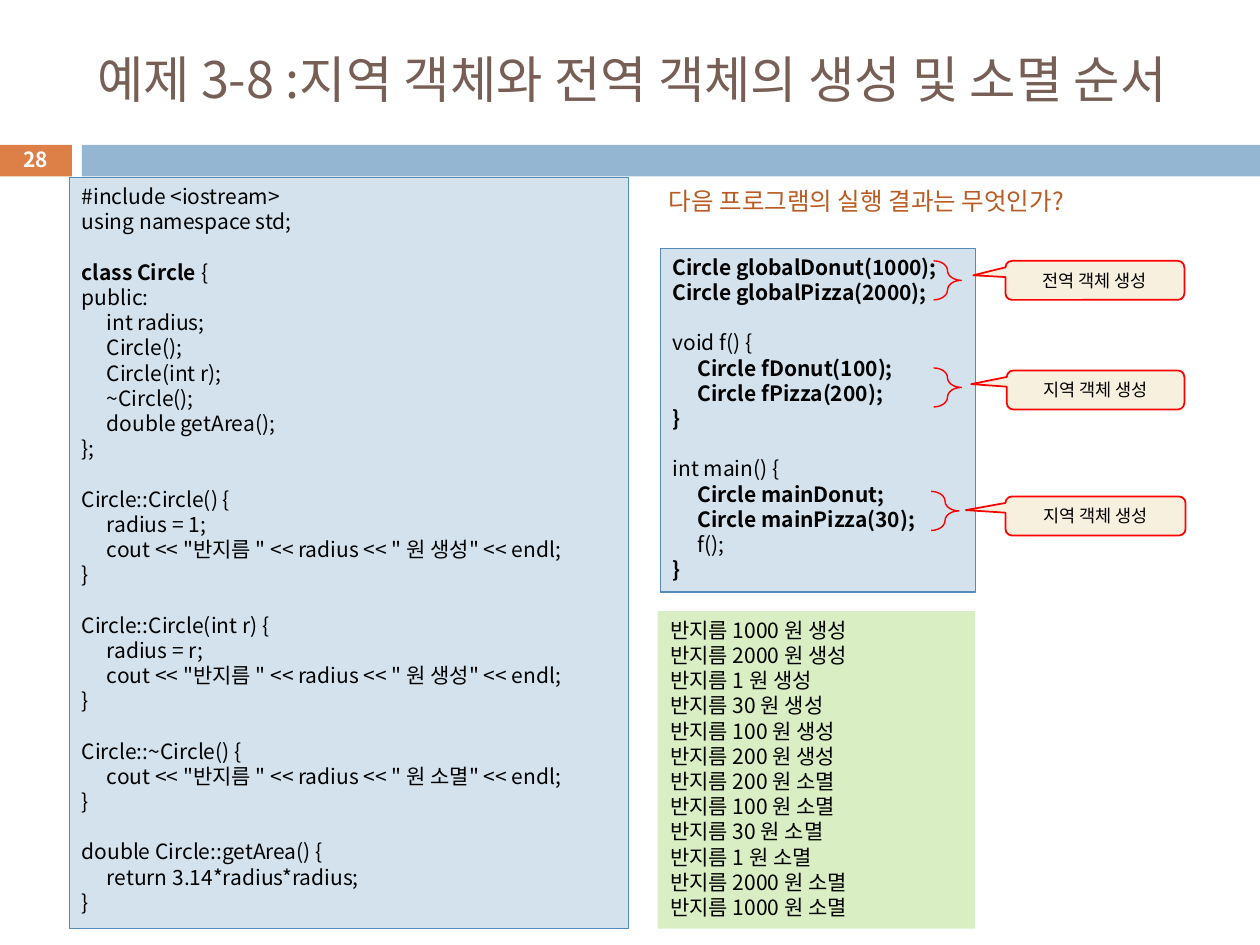
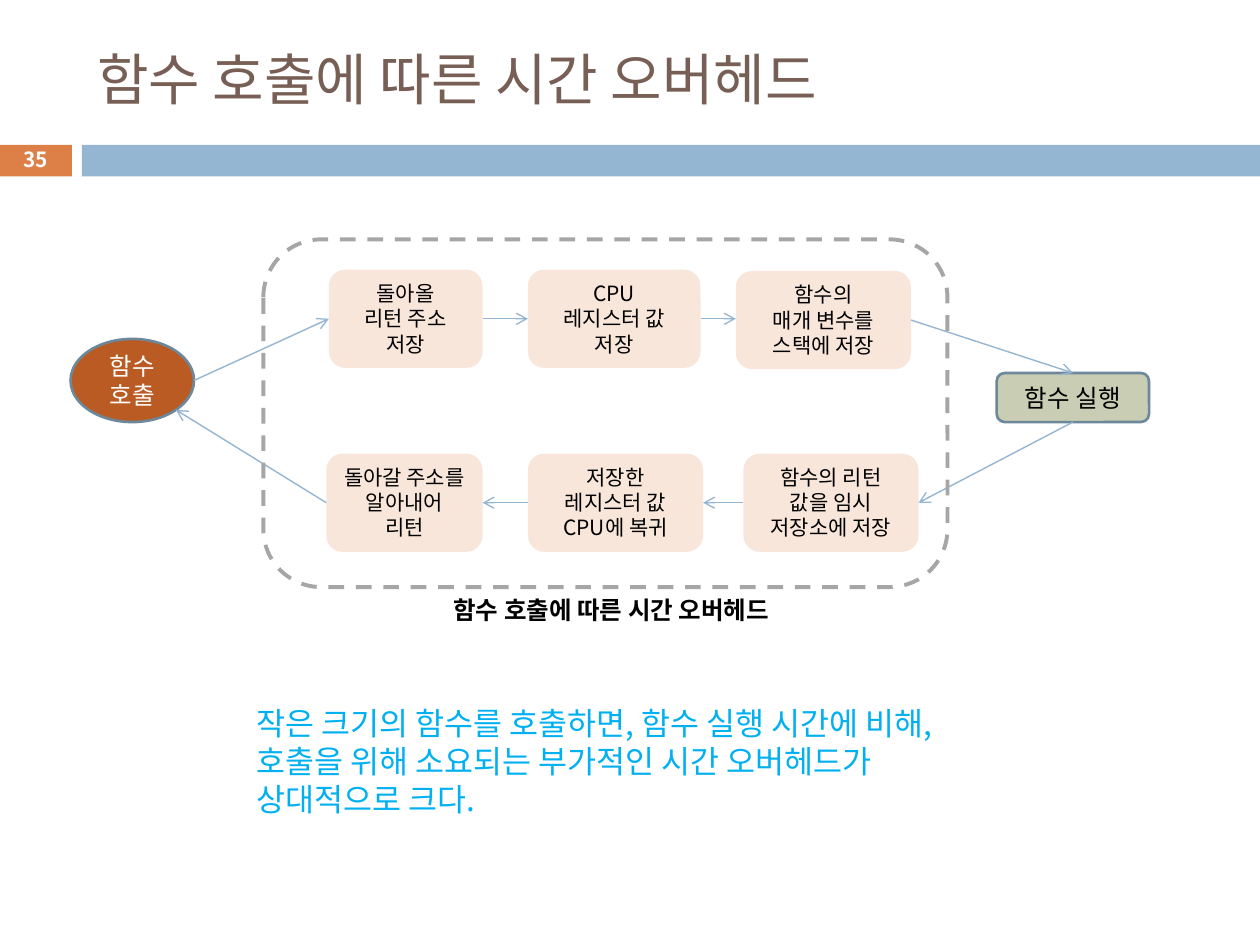
import collections
import math

import lxml.etree
import pptx
import pptx.dml.color
import pptx.enum.dml
import pptx.enum.shapes
import pptx.enum.text
import pptx.oxml.ns
import pptx.util

Inches = pptx.util.Inches
RGBColor = pptx.dml.color.RGBColor
Shape = pptx.enum.shapes.MSO_SHAPE
Align = pptx.enum.text.PP_ALIGN
Anchor = pptx.enum.text.MSO_ANCHOR
qn = pptx.oxml.ns.qn

FONT = "Noto Sans CJK KR"
BLACK = RGBColor(0x00, 0x00, 0x00)
WHITE = RGBColor(0xFF, 0xFF, 0xFF)
TITLE_BROWN = RGBColor(0x77, 0x5F, 0x55)
BAND_ORANGE = RGBColor(0xDD, 0x80, 0x47)
BAND_BLUE = RGBColor(0x94, 0xB6, 0xD2)
CODE_FILL = RGBColor(0xD4, 0xE2, 0xED)
CODE_LINE = RGBColor(0x55, 0x8B, 0xB8)
OUTPUT_FILL = RGBColor(0xDA, 0xEE, 0xC4)
CALLOUT_FILL = RGBColor(0xF7, 0xF0, 0xDE)
RED = RGBColor(0xFF, 0x00, 0x00)
RUST = RGBColor(0xB9, 0x5B, 0x22)
STEP_FILL = RGBColor(0xF8, 0xE6, 0xDA)
RUN_FILL = RGBColor(0xC9, 0xCD, 0xB3)
NODE_LINE = RGBColor(0x6D, 0x87, 0x9B)
FRAME_GRAY = RGBColor(0xA6, 0xA6, 0xA6)
SKY = RGBColor(0x00, 0xB0, 0xF0)

CLASS_CODE = """#include <iostream>
using namespace std;

**class Circle **{
public:
\tint radius;
\tCircle();
\tCircle(int r);
\t~Circle();
\tdouble getArea();
};

Circle::Circle() {
\tradius = 1;
\tcout << "반지름 " << radius << " 원 생성" << endl;
}

Circle::Circle(int r) {
\tradius = r;
\tcout << "반지름 " << radius << " 원 생성" << endl;
}

Circle::~Circle() {
\tcout << "반지름 " << radius << " 원 소멸" << endl;
}

double Circle::getArea() {
\treturn 3.14*radius*radius;
}"""

MAIN_CODE = """**Circle globalDonut(1000);**
**Circle globalPizza(2000);**

void f() {
**\tCircle fDonut(100);**
**\tCircle fPizza(200);**
**}**

int main() {
**\tCircle mainDonut;**
**\tCircle mainPizza(30);**
\tf();
**}**"""

CREATED_RADII = (1000, 2000, 1, 30, 100, 200)


class Box(collections.namedtuple("Box", "left top width height")):
    def inner(self, left, top, width, height):
        return Box(self.left + left, self.top + top, width, height)

    def point(self, across, down):
        return self.left + across * self.width, self.top + down * self.height

    def lengths(self):
        return [Inches(value) for value in self]


def style_span(span, size, color, bold=False):
    span.font.size = pptx.util.Pt(size)
    span.font.color.rgb = color
    span.font.bold = bold
    span.font.name = FONT
    east_asian = lxml.etree.SubElement(span.font._element, qn("a:ea"))
    east_asian.set("typeface", FONT)


def write(shape, text, size, color=BLACK, bold=False, align=Align.LEFT,
          anchor=Anchor.TOP, wrap=True):
    frame = shape.text_frame
    frame.text = text
    frame.word_wrap = wrap
    frame.vertical_anchor = anchor
    for para in frame.paragraphs:
        para.alignment = align
        for span in para.runs:
            style_span(span, size, color, bold)


def add_box(page, kind, box, fill=None, line=None, weight=1):
    shape = page.shapes.add_shape(kind, *box.lengths())
    shape.shadow.inherit = False
    if fill is None:
        shape.fill.background()
    else:
        shape.fill.solid()
        shape.fill.fore_color.rgb = fill
    if line is None:
        shape.line.fill.background()
    else:
        shape.line.color.rgb = line
        shape.line.width = pptx.util.Pt(weight)
    return shape


def add_label(page, box, text, size, **style):
    write(page.shapes.add_textbox(*box.lengths()), text, size, **style)


def add_arrow(page, start, end):
    ends = [Inches(value) for value in (*start, *end)]
    arrow = page.shapes.add_connector(pptx.enum.shapes.MSO_CONNECTOR.STRAIGHT, *ends)
    arrow.line.color.rgb = BAND_BLUE
    arrow.line.width = pptx.util.Pt(0.79)
    tail = lxml.etree.SubElement(arrow.line._get_or_add_ln(), qn("a:tailEnd"))
    tail.set("type", "arrow")
    lxml.etree.SubElement(arrow._element.spPr, qn("a:effectLst"))


def add_page(deck, title, title_size, number):
    page = deck.slides.add_slide(deck.slide_layouts[5])
    add_box(page, Shape.RECTANGLE, Box(-0.01, 1.15, 0.58, 0.25), BAND_ORANGE)
    add_box(page, Shape.RECTANGLE, Box(0.65, 1.15, 9.35, 0.25), BAND_BLUE)
    heading = page.shapes.title
    heading.left, heading.top, heading.width, heading.height = Box(
        0.67, 0.25, 8.92, 0.74).lengths()
    write(heading, title, title_size, TITLE_BROWN, anchor=Anchor.MIDDLE)
    heading.text_frame.auto_size = pptx.enum.text.MSO_AUTO_SIZE.NONE
    add_label(page, Box(-0.01, 1.13, 0.58, 0.27), number, 11.9, color=WHITE,
              bold=True, align=Align.CENTER, anchor=Anchor.MIDDLE)
    return page


def add_code(page, box, code):
    panel = add_box(page, Shape.RECTANGLE, box, CODE_FILL, CODE_LINE, 0.75)
    frame = panel.text_frame
    frame.word_wrap = True
    frame.vertical_anchor = Anchor.TOP
    for index, line in enumerate(code.split("\n")):
        para = frame.add_paragraph() if index else frame.paragraphs[0]
        para.alignment = Align.LEFT
        tabs = lxml.etree.SubElement(para._p.get_or_add_pPr(), qn("a:tabLst"))
        lxml.etree.SubElement(tabs, qn("a:tab"), pos=str(Inches(0.2)), algn="l")
        for part, text in enumerate(line.split("**")):
            if text:
                span = para.add_run()
                span.text = text
                style_span(span, 12, BLACK, part % 2 == 1)
        if not line:
            lxml.etree.SubElement(para._p, qn("a:endParaRPr"), sz="1200")


def add_creation_notes(page, box):
    notes = (
        ("전역 객체 생성", 2.17, 0.10, 2.74, 0.10, 1.42, -0.68, -0.13),
        ("지역 객체 생성", 2.17, 0.95, 2.75, 0.97, 1.41, -0.70, -0.15),
        ("지역 객체 생성", 2.15, 1.93, 2.74, 1.97, 1.43, -0.72, -0.15),
    )
    for text, brace_left, brace_top, left, top, width, tip_x, tip_y in notes:
        callout = add_box(page, Shape.ROUNDED_RECTANGULAR_CALLOUT,
                          box.inner(left, top, width, 0.31), CALLOUT_FILL, RED)
        callout.adjustments[0] = tip_x
        callout.adjustments[1] = tip_y
        write(callout, text, 10, align=Align.CENTER, anchor=Anchor.MIDDLE)
        brace = add_box(page, Shape.RIGHT_BRACE,
                        box.inner(brace_left, brace_top, 0.22, 0.31), line=RED, weight=0.79)
        brace.adjustments[0] = 0.44


def add_output(page, box):
    lines = [f"반지름 {radius} 원 생성" for radius in (1000, 2000, 1, 30, 100, 200)]
    lines += [line.replace("생성", "소멸") for line in reversed(lines)]
    write(add_box(page, Shape.RECTANGLE, box, OUTPUT_FILL), "\n".join(lines), 12)


def add_call_flow(page, box):
    steps = (
        ("돌아올\n리턴 주소 저장", 0.52, 0.24, 1.22),
        ("CPU\n레지스터 값\n저장", 2.10, 0.24, 1.37),
        ("함수의\n매개 변수를\n스택에 저장", 3.75, 0.25, 1.39),
        ("함수의 리턴 값을 임시 저장소에 저장", 3.81, 1.70, 1.39),
        ("저장한\n레지스터 값\nCPU에 복귀", 2.10, 1.70, 1.39),
        ("돌아갈 주소를 알아내어\n리턴", 0.50, 1.70, 1.24),
    )
    step_boxes = []
    for text, left, top, width in steps:
        step_box = box.inner(left, top, width, 0.78)
        step_boxes.append(step_box)
        step = add_box(page, Shape.ROUNDED_RECTANGLE, step_box, STEP_FILL)
        write(step, text, 12, align=Align.CENTER)

    call_box = box.inner(-1.53, 0.79, 0.98, 0.66)
    run_box = box.inner(5.82, 1.06, 1.21, 0.39)
    for kind, node_box, fill, text, color in (
            (Shape.OVAL, call_box, RUST, "함수 호출", WHITE),
            (Shape.ROUNDED_RECTANGLE, run_box, RUN_FILL, "함수 실행", BLACK)):
        node = add_box(page, kind, node_box, fill, NODE_LINE, 1.5)
        write(node, text, 14, color, align=Align.CENTER, anchor=Anchor.MIDDLE)

    going, returning = step_boxes[:3], step_boxes[3:]
    for row, exit_side in ((going, 1), (returning, 0)):
        for source, target in zip(row, row[1:]):
            start = source.point(exit_side, 0.5)
            add_arrow(page, start, (target.point(1 - exit_side, 0.5)[0], start[1]))
    lower_right = 0.5 + math.sqrt(0.5) / 2
    add_arrow(page, call_box.point(1, 0.5), going[0].point(0, 0.5))
    add_arrow(page, going[-1].point(1, 0.5), run_box.point(0.5, 0))
    add_arrow(page, run_box.point(0.5, 1), returning[0].point(1, 0.5))
    add_arrow(page, returning[-1].point(0, 0.5), call_box.point(lower_right, lower_right))

    frame = add_box(page, Shape.ROUNDED_RECTANGLE, box, line=FRAME_GRAY, weight=2.25)
    frame.line.dash_style = pptx.enum.dml.MSO_LINE.DASH
    add_label(page, box.inner(1.41, 2.77, 3.03, 0.34), "함수 호출에 따른 시간 오버헤드",
              14, bold=True, wrap=False)


def build_example_page(deck):
    page = add_page(deck, "예제 3-8 :지역 객체와 전역 객체의 생성 및 소멸 순서", 28.8, "28")
    main_box = Box(5.24, 1.97, 2.5, 2.73)
    add_code(page, Box(0.55, 1.41, 4.44, 5.96), CLASS_CODE)
    add_code(page, main_box, MAIN_CODE)
    add_output(page, Box(5.22, 4.85, 2.52, 2.52))
    add_creation_notes(page, main_box)
    add_label(page, Box(5.21, 1.43, 4.35, 0.34), "다음 프로그램의 실행 결과는 무엇인가?",
              14, color=RUST)


def build_overhead_page(deck):
    page = add_page(deck, "함수 호출에 따른 시간 오버헤드", 32, "35")
    add_call_flow(page, Box(2.09, 1.9, 5.43, 2.76))
    add_label(page, Box(1.94, 5.54, 6.22, 1.01),
              "작은 크기의 함수를 호출하면, 함수 실행 시간에 비해, 호출을 위해 "
              "소요되는 부가적인 시간 오버헤드가 상대적으로 크다.", 18, color=SKY)


def main():
    deck = pptx.Presentation()
    deck.slide_width = Inches(10)
    deck.slide_height = Inches(7.5)
    build_example_page(deck)
    build_overhead_page(deck)
    deck.save("out.pptx")


if __name__ == "__main__":
    main()
